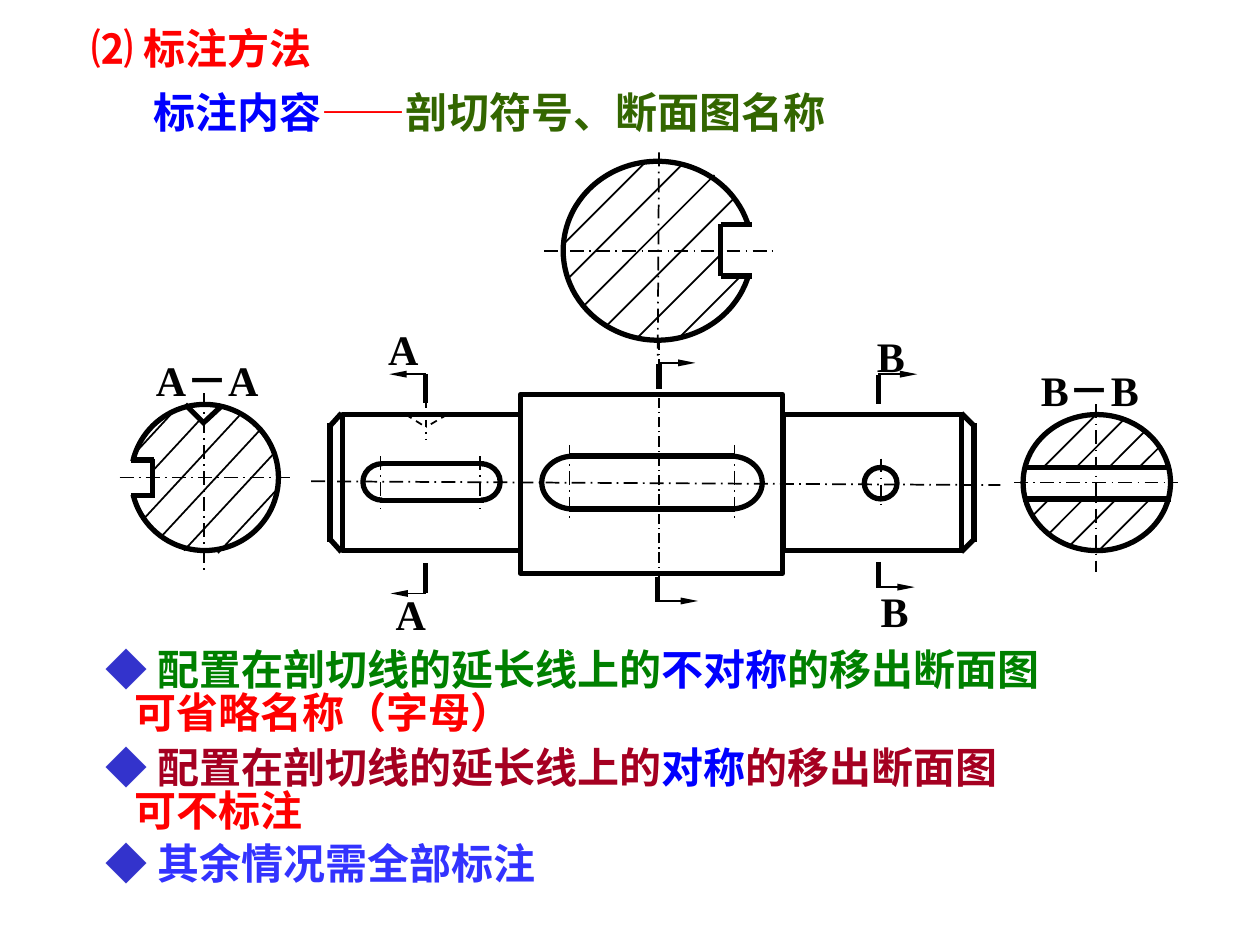
"""Build the slide on how removed sections of a shaft are labelled."""
from lxml.etree import SubElement
from pptx import Presentation
from pptx.dml.color import RGBColor
from pptx.enum.dml import MSO_LINE_DASH_STYLE as Dash
from pptx.enum.shapes import MSO_CONNECTOR as Link, MSO_SHAPE as Shape
from pptx.enum.text import MSO_ANCHOR as Anchor, MSO_AUTO_SIZE as AutoSize, PP_ALIGN as Align
from pptx.oxml.ns import qn
from pptx.util import Inches, Pt

BLACK = RGBColor(0x00, 0x00, 0x00)
WHITE = RGBColor(0xFF, 0xFF, 0xFF)
RED = RGBColor(0xFF, 0x00, 0x00)
BLUE = RGBColor(0x00, 0x00, 0xFF)
OLIVE = RGBColor(0x33, 0x66, 0x00)
GREEN = RGBColor(0x00, 0x80, 0x00)
MAROON = RGBColor(0xA5, 0x00, 0x21)
INDIGO = RGBColor(0x33, 0x33, 0xCC)
VIOLET = RGBColor(0x33, 0x33, 0xFF)

SANS = "Noto Sans CJK SC"
SERIF = "Times New Roman"
THICK, THIN = 3, 1
CENTRE = Dash.LONG_DASH_DOT
DIAMOND = ("◆ ", INDIGO)
RULE_START = "配置在剖切线的延长线上的"
RULE_END = "的移出断面图"


def add_text(page, place, lines, font=SANS, anchor=Anchor.TOP, spacing=None, hanging=0):
    """Add a wrapped box whose lines are lists of (text, colour) runs."""
    box = page.shapes.add_textbox(*map(Inches, place))
    frame = box.text_frame
    frame.word_wrap = True
    frame.auto_size = AutoSize.SHAPE_TO_FIT_TEXT
    frame.vertical_anchor = anchor
    for index, runs in enumerate(lines):
        para = frame.add_paragraph() if index else frame.paragraphs[0]
        if spacing:
            para.line_spacing = spacing
        if index and hanging:
            para._p.get_or_add_pPr().set("marL", str(Inches(hanging)))
        for text, colour in runs:
            span = para.add_run()
            span.text = text
            span.font.size = Pt(24)
            span.font.bold = True
            span.font.name = font
            span.font.color.rgb = colour
            SubElement(span._r.get_or_add_rPr(), qn("a:ea")).set("typeface", SANS)
    return box


def add_label(page, left, top, width, text):
    """Add a centred section letter or section name on a single line."""
    box = add_text(page, (left, top, width, 0.5), [[(text, BLACK)]], SERIF, Anchor.MIDDLE)
    frame = box.text_frame
    frame.word_wrap = False
    frame.margin_left = frame.margin_right = 0
    frame.paragraphs[0].alignment = Align.CENTER


def add_line(page, x1, y1, x2, y2, width=THIN, dash=None, arrow=False):
    """Add a straight black line, dashed or arrowed if asked."""
    line = page.shapes.add_connector(Link.STRAIGHT, *map(Inches, (x1, y1, x2, y2)))
    line.line.color.rgb = BLACK
    line.line.width = Pt(width)
    if dash:
        line.line.dash_style = dash
    if arrow:
        head = SubElement(line.line._get_or_add_ln(), qn("a:tailEnd"))
        for key, value in (("type", "triangle"), ("w", "sm"), ("len", "lg")):
            head.set(key, value)
    SubElement(line._element.spPr, qn("a:effectLst"))


def add_outline(page, kind, left, top, width, height):
    """Add an unfilled shape with a thick black edge."""
    shape = page.shapes.add_shape(kind, *map(Inches, (left, top, width, height)))
    shape.shadow.inherit = False
    shape.fill.background()
    shape.line.color.rgb = BLACK
    shape.line.width = Pt(THICK)


def add_mask(page, left, top, width, height):
    """Add a white rectangle that clears part of an outline."""
    shape = page.shapes.add_shape(Shape.RECTANGLE, *map(Inches, (left, top, width, height)))
    shape.shadow.inherit = False
    shape.fill.solid()
    shape.fill.fore_color.rgb = WHITE
    shape.line.fill.background()


def add_hatching(page, strokes, slope=1.0):
    """Add rising hatch lines from (left, bottom, run) strokes."""
    for left, bottom, run in strokes:
        add_line(page, left, bottom, left + run, bottom - run * slope)


def add_cut_mark(page, x, top, bottom, bend, tip):
    """Add a cutting stroke and the arrow for its viewing direction."""
    add_line(page, x, top, x, bottom, THICK)
    add_line(page, x, bend, tip, bend, arrow=True)


def add_slot(page, left, right, top, height, end, centres, mark_top, mark_height):
    """Add a round-ended keyway with centre marks."""
    for x in (left, right - end):
        add_outline(page, Shape.OVAL, x, top, end, height)
    start, stop = left + end / 2, right - end / 2
    add_mask(page, start, top, stop - start, height)
    for y in (top, top + height):
        add_line(page, centres[0], y, stop + 0.03, y, THICK)
    for x in centres:
        add_line(page, x, mark_top, x, mark_top + mark_height, dash=CENTRE)


def add_shaft_end(page, left, face, edge):
    """Add one thin shaft section with its chamfered end."""
    add_outline(page, Shape.RECTANGLE, left, 3.29, 1.41, 1.08)
    add_line(page, face, 3.28, edge, 3.38, THICK)
    add_line(page, face, 4.38, edge, 4.28, THICK)
    add_line(page, edge, 3.36, edge, 4.3, THICK)


def add_section_b(page):
    """Add the right section, with its through hole."""
    add_line(page, 8.05, 3.83, 9.35, 3.83, dash=CENTRE)
    add_line(page, 8.7, 3.21, 8.7, 4.54, dash=CENTRE)
    for y in (3.71, 3.96):
        add_line(page, 8.12, y, 9.29, y, THICK)
    add_hatching(page, [(8.55, 3.7, 0.36), (8.29, 3.7, 0.42), (8.81, 3.7, 0.28),
                        (9.04, 3.71, 0.16), (8.31, 4.25, 0.28), (8.19, 4.1, 0.13),
                        (8.48, 4.34, 0.38), (8.71, 4.38, 0.43)])
    add_outline(page, Shape.OVAL, 8.12, 3.29, 1.17, 1.08)


def add_section_top(page):
    """Add the upper section, with its keyway on the right."""
    add_line(page, 5.23, 1.21, 5.22, 2.86, dash=CENTRE)
    add_outline(page, Shape.OVAL, 4.47, 1.28, 1.5, 1.42)
    add_mask(page, 5.72, 1.78, 0.33, 0.42)
    add_line(page, 5.72, 1.78, 5.72, 2.19, THICK)
    for y in (1.78, 2.19):
        add_line(page, 5.72, y, 5.97, y, THICK)
    add_line(page, 4.32, 1.99, 6.14, 1.99, dash=CENTRE)
    add_hatching(page, [(5.38, 2.69, 0.5), (4.63, 2.43, 1.04), (4.52, 2.2, 0.89),
                        (4.47, 1.94, 0.66), (4.81, 2.59, 1.02), (5.05, 2.69, 0.67)])


def add_section_a(page):
    """Add the left section, with its keyway and conical dimple."""
    add_line(page, 1.62, 3.12, 1.62, 4.56, dash=CENTRE)
    add_outline(page, Shape.OVAL, 1.04, 3.21, 1.17, 1.16)
    add_mask(page, 0.96, 3.66, 0.25, 0.27)
    for y in (3.65, 3.93):
        add_line(page, 1.04, y, 1.22, y, THICK)
    add_line(page, 1.21, 3.64, 1.21, 3.95, THICK)
    add_line(page, 1.75, 3.23, 1.6, 3.37, THICK, Dash.DASH)
    add_line(page, 1.47, 3.21, 1.63, 3.37, THICK)
    add_line(page, 0.95, 3.79, 2.3, 3.79, dash=CENTRE)
    add_hatching(page, [(1.46, 4.37, 0.73), (1.27, 4.27, 0.81), (1.13, 4.13, 0.78),
                        (1.2, 3.75, 0.39), (1.05, 3.62, 0.32), (1.73, 4.39, 0.47)], 1.08)


def add_shaft(page):
    """Add the front view of the shaft."""
    add_shaft_end(page, 2.72, 2.71, 2.62)
    add_shaft_end(page, 6.22, 7.63, 7.73)
    add_line(page, 3.38, 3.18, 3.38, 3.49, dash=Dash.DASH_DOT)
    for x in (3.22, 3.55):
        add_line(page, x, 3.29, 3.38, 3.39, dash=Dash.DASH)
    add_slot(page, 2.88, 3.97, 3.68, 0.29, 0.31, (3.02, 3.81), 3.62, 0.42)
    add_outline(page, Shape.OVAL, 6.86, 3.71, 0.26, 0.25)
    add_line(page, 6.99, 3.64, 6.99, 4.05, dash=CENTRE)
    add_outline(page, Shape.RECTANGLE, 4.13, 3.13, 2.08, 1.42)
    add_slot(page, 4.3, 6.05, 3.62, 0.42, 0.5, (4.52, 5.83), 3.53, 0.6)
    add_line(page, 2.47, 3.82, 7.94, 3.85, dash=CENTRE)
    add_line(page, 5.23, 4.62, 5.23, 2.7, 0.75, CENTRE)


def main():
    """Build and save the slide."""
    deck = Presentation()
    deck.slide_width, deck.slide_height = Inches(10), Inches(7.5)
    page = deck.slides.add_slide(deck.slide_layouts[6])

    add_text(page, (0.63, 0.13, 4.91, 0.5), [[("⑵ 标注方法", RED)]])
    add_text(page, (1.12, 0.64, 6.12, 0.5),
             [[("标注内容", BLUE), ("——", RED), ("剖切符号、断面图名称", OLIVE)]], SERIF)
    for top, width, height, lines in (
        (5.12, 8.55, 0.78, [[DIAMOND, (RULE_START, GREEN), ("不对称", BLUE), (RULE_END, GREEN)],
                            [("可省略名称（字母）", RED)]]),
        (5.9, 9.1, 0.78, [[DIAMOND, (RULE_START, MAROON), ("对称", BLUE), (RULE_END, MAROON)],
                          [("可不标注", RED)]]),
        (6.66, 4.88, 0.44, [[DIAMOND, ("其余情况需全部标注", VIOLET)]]),
    ):
        add_text(page, (0.74, top, width, height), lines, SANS, Anchor.MIDDLE, 0.85, 0.23)

    for mark in ((5.23, 2.89, 3.09, 2.88, 5.52), (5.22, 4.58, 4.78, 4.77, 5.54),
                 (3.38, 2.97, 3.2, 2.97, 3.09), (3.38, 4.47, 4.71, 4.71, 3.1),
                 (6.97, 2.98, 3.21, 2.97, 7.28), (6.97, 4.46, 4.67, 4.66, 7.26)):
        add_cut_mark(page, *mark)
    add_section_b(page)
    add_section_top(page)
    add_section_a(page)
    add_shaft(page)
    for label in ((1.06, 2.76, 1.17, "A－A"), (2.98, 2.52, 0.44, "A"), (3.04, 4.62, 0.44, "A"),
                  (6.86, 2.57, 0.42, "B"), (6.89, 4.6, 0.42, "B"), (8.08, 2.84, 1.14, "B－B")):
        add_label(page, *label)
    deck.save("out.pptx")


if __name__ == "__main__":
    main()
